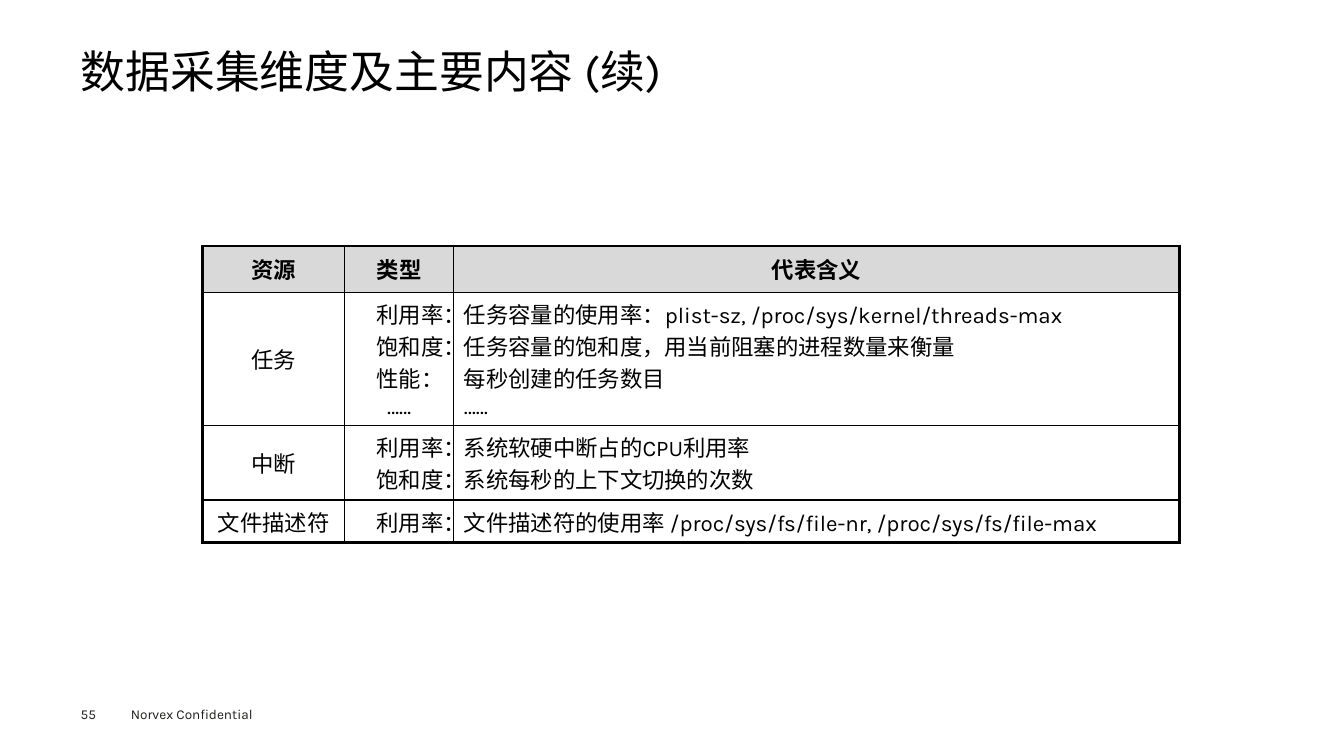
from dataclasses import dataclass

from lxml.etree import SubElement
from pptx import Presentation
from pptx.dml.color import RGBColor as RGB
from pptx.enum.text import MSO_ANCHOR as Anchor, MSO_AUTO_SIZE as Fit, PP_ALIGN as Align
from pptx.oxml.ns import qn
from pptx.util import Inches, Pt


@dataclass(frozen=True)
class Theme:
    face: str = "Karla"
    ink: str = "000000"
    soft: str = "1D1D1B"
    head: str = "D9D9D9"
    paper: str = "FFFFFF"
    title: float = 32
    body: float = 16
    foot: float = 9.7
    thick: float = 2.25
    thin: float = 1


THEME = Theme()
COLS = (1.41, 1.08, 7.2)
HIGH = (0.46, 1.32, 0.74, 0.42)
ROWS = [
    ("资源", "类型", "代表含义"),
    ("任务", "利用率：\n饱和度：\n性能：\n……",
     "任务容量的使用率：plist-sz, /proc/sys/kernel/threads-max\n"
     "任务容量的饱和度，用当前阻塞的进程数量来衡量\n每秒创建的任务数目\n……"),
    ("中断", "利用率：\n饱和度：",
     "系统软硬中断占的CPU利用率\n系统每秒的上下文切换的次数"),
    ("文件描述符", "利用率：",
     "文件描述符的使用率 /proc/sys/fs/file-nr, /proc/sys/fs/file-max"),
]


def style(para, size, color, bold=False):
    font = para.font
    font.name, font.size, font.bold = THEME.face, Pt(size), bold
    font.color.rgb = RGB.from_string(color)


def border(cell, sides):
    """Line the cell; sides maps L, R, T, B to a width in points."""
    props = cell._tc.get_or_add_tcPr()
    for at, (side, width) in enumerate(sides.items()):
        line = props.makeelement(qn(f"a:ln{side}"), {"w": str(Pt(width))})
        fill = SubElement(line, qn("a:solidFill"))
        SubElement(fill, qn("a:srgbClr"), val=THEME.ink)
        props.insert(at, line)


def add_title(slide, box, text):
    title = slide.shapes.title
    title.left, title.top, title.width, title.height = map(Inches, box)
    frame = title.text_frame
    frame.margin_left = frame.margin_right = frame.margin_top = frame.margin_bottom = 0
    frame.auto_size, frame.vertical_anchor = Fit.NONE, Anchor.TOP
    frame.text = text
    para = frame.paragraphs[0]
    para.alignment, para.line_spacing = Align.LEFT, 0.9
    style(para, THEME.title, THEME.ink)


def pick_align(row, col, text):
    if row == 0 or col == 0 or text == "……" and col == 1:
        return Align.CENTER
    return Align.RIGHT if col == 1 else Align.LEFT


def add_grid(slide, left, top):
    rows, cols = len(ROWS), len(COLS)
    table = slide.shapes.add_table(rows, cols, Inches(left), Inches(top),
                                   Inches(sum(COLS)), Inches(sum(HIGH))).table
    for col, width in zip(table.columns, COLS):
        col.width = Inches(width)
    for row, height in zip(table.rows, HIGH):
        row.height = Inches(height)
    for r, texts in enumerate(ROWS):
        for c, text in enumerate(texts):
            cell = table.cell(r, c)
            cell.text, cell.vertical_anchor = text, Anchor.MIDDLE
            cell.fill.solid()
            cell.fill.fore_color.rgb = RGB.from_string(THEME.paper if r else THEME.head)
            for para in cell.text_frame.paragraphs:
                para.alignment = pick_align(r, c, para.text)
                style(para, THEME.body, THEME.ink, r == 0)
            # Heavy outer frame, light inner rules
            outer = {"L": c == 0, "R": c == cols - 1, "T": r == 0, "B": r == rows - 1}
            border(cell, {side: THEME.thick if edge else THEME.thin
                          for side, edge in outer.items()})


def add_note(slide, box, text, pad_x, pad_y):
    frame = slide.shapes.add_textbox(*map(Inches, box)).text_frame
    frame.word_wrap = True
    frame.margin_left = frame.margin_right = Inches(pad_x)
    frame.margin_top = frame.margin_bottom = Inches(pad_y)
    frame.text = text
    style(frame.paragraphs[0], THEME.foot, THEME.soft)


def add_footer(slide, left, top):
    add_note(slide, (left, top + 0.05, 0.55, 0.16), "55", 0, 0)
    add_note(slide, (left + 0.4, top, 1.6, 0.27), "Norvex Confidential", 0.1, 0.05)


def main():
    deck = Presentation()
    deck.slide_width, deck.slide_height = Inches(13.33), Inches(7.5)
    slide = deck.slides.add_slide(deck.slide_layouts[5])
    add_title(slide, (0.8, 0.49, 11.73, 0.54), "数据采集维度及主要内容 (续)")
    add_grid(slide, 2.01, 2.44)
    add_footer(slide, 0.8, 6.95)
    deck.save("out.pptx")


if __name__ == "__main__":
    main()
